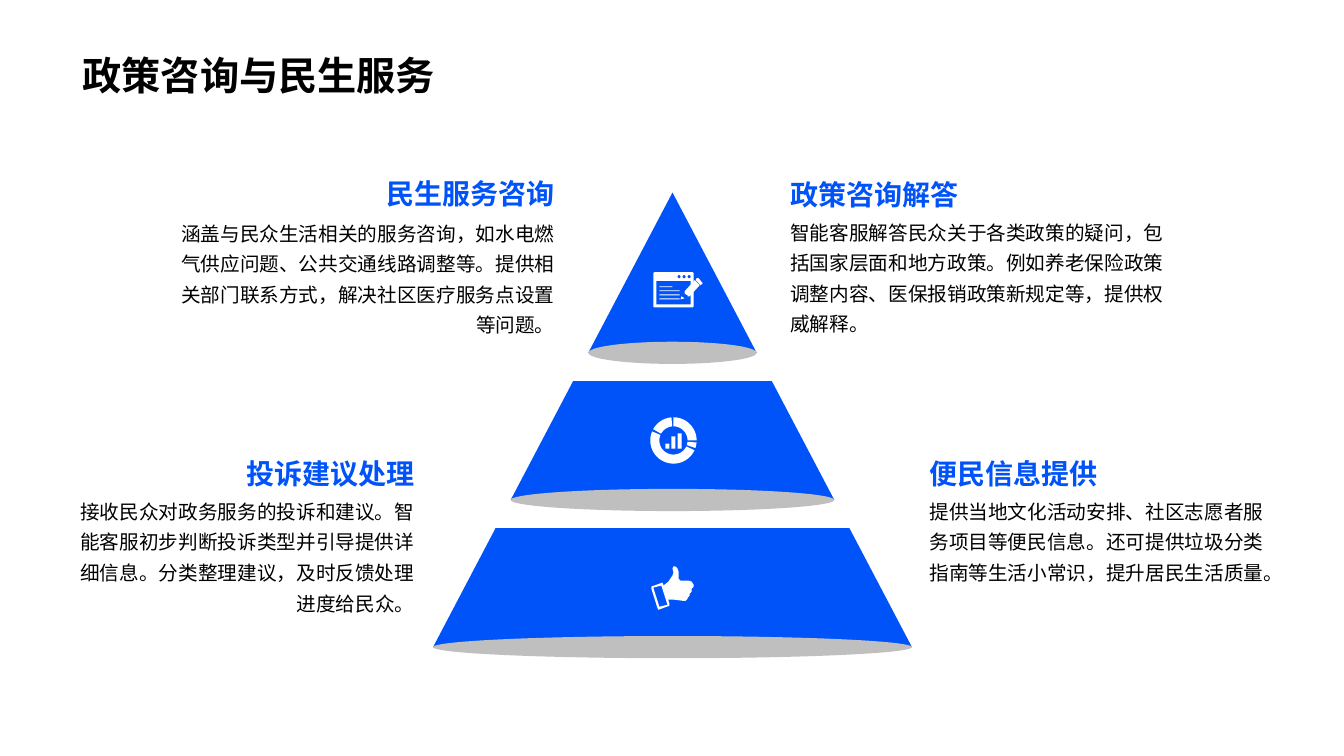
from dataclasses import dataclass
from math import cos, radians, sin

from lxml.etree import SubElement
from pptx import Presentation
from pptx.dml.color import RGBColor
from pptx.enum.shapes import MSO_SHAPE
from pptx.enum.text import MSO_ANCHOR, MSO_AUTO_SIZE, PP_ALIGN
from pptx.oxml.ns import qn
from pptx.util import Inches, Pt


@dataclass(frozen=True)
class Theme:
    blue: RGBColor = RGBColor(0x00, 0x53, 0xF9)
    grey: RGBColor = RGBColor(0xBF, 0xBF, 0xBF)
    white: RGBColor = RGBColor(0xFF, 0xFF, 0xFF)
    black: RGBColor = RGBColor(0, 0, 0)
    font: str = "Noto Sans CJK JP"
    title: int = 28
    heading: int = 20
    body: int = 14


THEME = Theme()

TIERS = [
    (1.91, 1.59, 0, 1.67),
    (3.78, 1.18, 1.97, 3.21),
    (5.24, 1.18, 3.51, 4.75),
]

TOPICS = [
    (7.74, 1.76, 3.94, 1.42, 0.31, PP_ALIGN.LEFT, "政策咨询解答",
     "智能客服解答民众关于各类政策的疑问，包括国家层面和地方政策。例如养老保险政策调整内容、医保报销政策新规定等，提供权威解释。"),
    (1.66, 1.75, 3.94, 1.42, 0.33, PP_ALIGN.RIGHT, "民生服务咨询",
     "涵盖与民众生活相关的服务咨询，如水电燃气供应问题、公共交通线路调整等。提供相关部门联系方式，解决社区医疗服务点设置等问题。"),
    (9.12, 4.53, 3.54, 1.7, 0.31, PP_ALIGN.LEFT, "便民信息提供",
     "提供当地文化活动安排、社区志愿者服务项目等便民信息。还可提供垃圾分类指南等生活小常识，提升居民生活质量。"),
    (0.67, 4.53, 3.54, 1.7, 0.31, PP_ALIGN.RIGHT, "投诉建议处理",
     "接收民众对政务服务的投诉和建议。智能客服初步判断投诉类型并引导提供详细信息。分类整理建议，及时反馈处理进度给民众。"),
]

PENCIL = [
    [(0.28, 0.24), (0.27, 0.27), (0.31, 0.26)],
    [(0.47, 0.13), (0.49, 0.11), (0.48, 0.1), (0.45, 0.06), (0.43, 0.06), (0.42, 0.08)],
    [(0.41, 0.08), (0.31, 0.19), (0.31, 0.21), (0.32, 0.22), (0.34, 0.23),
     (0.34, 0.24), (0.36, 0.24), (0.46, 0.13)],
]
CUFF = [
    [(0, 0.2), (0.11, 0.16), (0.12, 0.18), (0.18, 0.37), (0.18, 0.39),
     (0.07, 0.43), (0.06, 0.41), (0, 0.22)],
    [(0.1, 0.19), (0.02, 0.21), (0.08, 0.4), (0.16, 0.38)],
]
THUMB = [
    (0.12, 0.19), (0.17, 0.15), (0.21, 0.09), (0.22, 0.06), (0.21, 0.02), (0.22, 0),
    (0.24, 0), (0.26, 0.02), (0.27, 0.05), (0.27, 0.12), (0.29, 0.14), (0.37, 0.14),
    (0.4, 0.15), (0.42, 0.18), (0.42, 0.2), (0.4, 0.22), (0.4, 0.25), (0.38, 0.27),
    (0.38, 0.29), (0.36, 0.31), (0.36, 0.32), (0.34, 0.34), (0.31, 0.34),
    (0.23, 0.33), (0.16, 0.33),
]


def put(obj, fmt):
    for name, value in fmt.items():
        setattr(obj, name, value)


def paint(sp, color):
    sp.shadow.inherit = False
    sp.fill.solid()
    sp.fill.fore_color.rgb = color
    sp.line.fill.background()


def add_block(s, kind, box, color):
    sp = s.shapes.add_shape(kind, *map(Inches, box))
    paint(sp, color)
    return sp


def add_outline(s, x, y, contours, color):
    moved = [[(Inches(x + dx), Inches(y + dy)) for dx, dy in pts] for pts in contours]
    fb = s.shapes.build_freeform(*moved[0][0])
    for i, pts in enumerate(moved):
        if i:
            fb.move_to(*pts[0])
        fb.add_line_segments(pts[1:], close=True)
    paint(fb.convert_to_shape(), color)


def write(tf, text, font, para, frame):
    put(tf, {"word_wrap": True, "margin_left": Inches(0.1),
             "margin_right": Inches(0.1), **frame})
    p = tf.paragraphs[0]
    put(p, para)
    r = p.add_run()
    r.text = text
    color = font.pop("color")
    put(r.font, {"name": THEME.font, **font})
    r.font.color.rgb = color
    SubElement(r._r.get_or_add_rPr(), qn("a:ea"), typeface=THEME.font)


def add_title(s, box, text):
    sp = s.shapes.title
    put(sp, dict(zip(("left", "top", "width", "height"), map(Inches, box))))
    write(sp.text_frame, text,
          {"size": Pt(THEME.title), "bold": True, "color": THEME.black},
          {"alignment": PP_ALIGN.LEFT, "line_spacing": 1.0},
          {"margin_top": Inches(0.05), "margin_bottom": Inches(0.05),
           "vertical_anchor": MSO_ANCHOR.BOTTOM,
           "auto_size": MSO_AUTO_SIZE.SHAPE_TO_FIT_TEXT})


def add_topic(s, x, y, w, h, drop, align, heading, body):
    head = s.shapes.add_textbox(*map(Inches, (x, y, w, 0.4)))
    write(head.text_frame, heading,
          {"size": Pt(THEME.heading), "bold": True, "color": THEME.blue},
          {"alignment": align}, {"margin_top": 0, "margin_bottom": 0})
    detail = s.shapes.add_textbox(*map(Inches, (x, y + drop, w, h)))
    write(detail.text_frame, body,
          {"size": Pt(THEME.body), "color": THEME.black},
          {"alignment": align, "line_spacing": 1.3},
          {"margin_top": Inches(0.05), "margin_bottom": Inches(0.05)})


def add_pyramid(s, cx, tiers):
    for y, h, top, base in tiers:
        pts = [(-top / 2, 0), (top / 2, 0), (base / 2, h), (-base / 2, h)]
        add_outline(s, cx, y, [pts], THEME.blue)
        add_block(s, MSO_SHAPE.OVAL, (cx - base / 2, y + h - 0.11, base, 0.22), THEME.grey)


def add_form_icon(s, x, y):
    sp = add_block(s, MSO_SHAPE.ROUNDED_RECTANGLE, (x, y, 0.4, 0.35), THEME.white)
    sp.adjustments[0] = 0.04
    add_block(s, MSO_SHAPE.RECTANGLE, (x + 0.03, y + 0.09, 0.34, 0.23), THEME.blue)
    for i in range(3):
        add_block(s, MSO_SHAPE.OVAL, (x + 0.24 + 0.05 * i, y + 0.03, 0.03, 0.03), THEME.blue)
    for i, w in enumerate((0.13, 0.2, 0.2, 0.2)):
        add_block(s, MSO_SHAPE.RECTANGLE, (x + 0.06, y + 0.14 + 0.04 * i, w, 0.01), THEME.white)
    for pts in PENCIL:
        add_outline(s, x, y, [pts], THEME.white)


def arc(radius, start, end, steps=24):
    angles = [radians(start + (end - start) * i / steps) for i in range(steps + 1)]
    return [(radius * cos(a), radius * sin(a)) for a in angles]


def add_chart_icon(s, cx, cy):
    for start, end in ((25, 203), (209, 265), (270, 360), (5, 19)):
        ring = arc(0.23, start, end) + arc(0.14, end, start)
        add_outline(s, cx, cy, [ring], THEME.white)
    for i, h in enumerate((0.05, 0.12, 0.15)):
        add_block(s, MSO_SHAPE.RECTANGLE,
                  (cx - 0.08 + 0.06 * i, cy + 0.08 - h, 0.04, h), THEME.white)


def add_thumb_icon(s, x, y):
    add_outline(s, x, y, CUFF, THEME.white)
    add_outline(s, x, y, [THUMB], THEME.white)


def main():
    prs = Presentation()
    put(prs, {"slide_width": Inches(13.33), "slide_height": Inches(7.5)})
    s = prs.slides.add_slide(prs.slide_layouts[5])
    add_title(s, (0.72, 0.46, 11.67, 0.57), "政策咨询与民生服务")
    add_pyramid(s, 6.67, TIERS)
    add_form_icon(s, 6.48, 2.7)
    add_chart_icon(s, 6.68, 4.37)
    add_thumb_icon(s, 6.46, 5.62)
    for topic in TOPICS:
        add_topic(s, *topic)
    prs.save("out.pptx")


if __name__ == "__main__":
    main()
